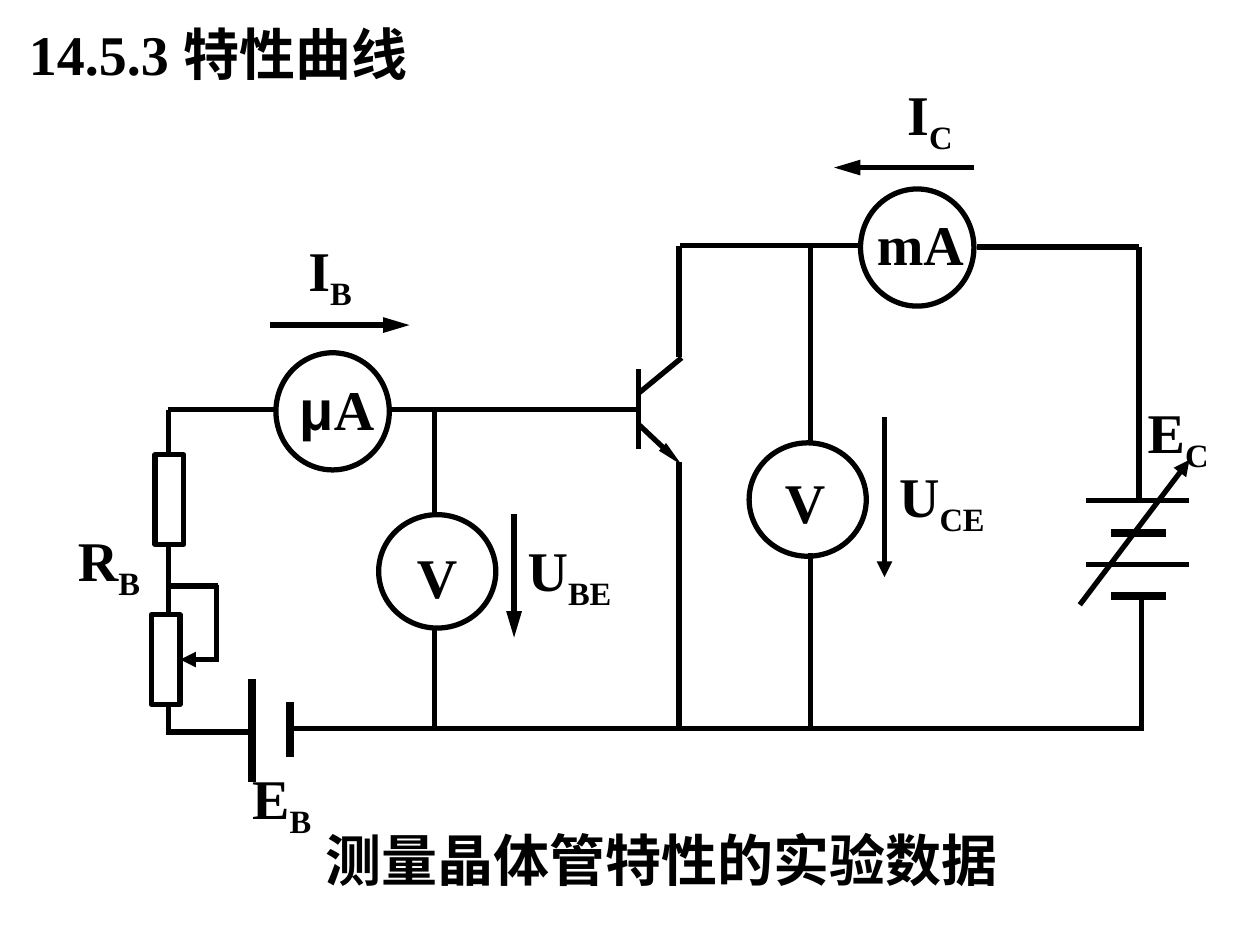
from lxml.etree import SubElement
from pptx import Presentation
from pptx.dml.color import RGBColor
from pptx.enum.shapes import MSO_CONNECTOR, MSO_SHAPE
from pptx.enum.text import MSO_ANCHOR, MSO_AUTO_SIZE, PP_ALIGN
from pptx.oxml.ns import qn
from pptx.util import Inches, Pt

COLORS = {"ink": "000000", "paper": "FFFFFF"}
FONT, SYMBOL_FONT = "Times New Roman", "Arial"
TEXT_SIZE, WIRE, PLATE = 32, 3, 4.5

TITLE = ("14.5.3 特性曲线", (0.13, 0.1, 3.46, 0.64))
CAPTION = ("测量晶体管特性的实验数据", (2.17, 6.5, 6.17, 0.64))

# Start x, start y, end x, end y
WIRES = [
    # Base loop
    (1.34, 5.83, 1.34, 3.25), (1.33, 5.81, 1.99, 5.81),
    (1.34, 4.65, 1.73, 4.65), (1.72, 4.64, 1.72, 5.25),
    (1.33, 3.25, 5.08, 3.25), (3.45, 5.77, 3.45, 3.26),
    # Transistor
    (5.07, 2.93, 5.07, 3.56), (5.07, 3.12, 5.41, 2.84),
    (5.39, 1.95, 5.39, 2.83), (5.39, 3.67, 5.39, 5.79),
    # Collector loop
    (5.4, 1.95, 6.83, 1.95), (7.75, 1.96, 9.04, 1.96),
    (9.04, 1.96, 9.04, 3.98), (9.06, 4.73, 9.06, 5.77),
    (2.33, 5.78, 9.08, 5.78),
    (6.43, 5.77, 6.43, 4.39), (6.43, 3.5, 6.43, 1.96),
    # Long plates of the collector battery
    (9.44, 3.97, 8.62, 3.97), (9.44, 4.48, 8.62, 4.48),
]
THICK_PLATES = [
    (2, 5.39, 2, 6.21), (2.3, 5.57, 2.3, 6.01),
    (9.25, 4.23, 8.82, 4.23), (9.25, 4.73, 8.82, 4.73),
]
# Ends, then head width and length
ARROWS = [
    ((5.07, 3.37, 5.41, 3.69), ("sm", "lg")),
    ((8.57, 4.8, 9.44, 3.65), ("med", "med")),
    ((2.14, 2.58, 3.25, 2.58), ("med", "lg")),
    ((7.73, 1.33, 6.62, 1.33), ("med", "lg")),
    ((4.08, 4.08, 4.08, 5.06), ("med", "lg")),
    ((7.02, 3.31, 7.02, 4.58), ("med", "med")),
]
SLIDER_START = 1.71
RESISTOR, RHEOSTAT = (1.23, 3.61), (1.2, 4.88)
RESISTOR_SIZE, METER_SIZE = (0.23, 0.71), (0.9, 0.93)

# Name, meter corner, rotation, filled, label frame
METERS = [
    ("mA", (6.83, 1.5), 0, False, (6.86, 1.61, 0.89, 0.64)),
    ("V", (5.96, 3.5), 90, False, (6.13, 3.66, 0.52, 0.64)),
    ("V", (3.02, 4.07), 90, True, (3.21, 4.25, 0.52, 0.64)),
    ("μA", (2.19, 2.8), 0, True, (2.23, 2.92, 0.89, 0.64)),
]
# Letter, subscript, left, top, width
QUANTITIES = [
    ("I", "C", 7.1, 0.58, 0.56), ("U", "CE", 6.99, 3.61, 0.97),
    ("U", "BE", 4.04, 4.2, 0.96), ("R", "B", 0.52, 4.12, 0.69),
    ("I", "B", 2.3, 1.82, 0.64), ("E", "B", 1.9, 6.01, 0.67),
    ("E", "C", 9.01, 3.1, 0.68),
]
QUANTITY_HEIGHT = 0.71


def color(name):
    return RGBColor.from_string(COLORS[name])


def draw_line(page, ends, weight=WIRE, head=None):
    """Draw a straight line; head is the (width, length) of its arrowhead."""
    line = page.shapes.add_connector(MSO_CONNECTOR.STRAIGHT, *map(Inches, ends))
    line.line.color.rgb = color("ink")
    line.line.width = Pt(weight)
    if head:
        width, length = head
        SubElement(line.line._get_or_add_ln(), qn("a:tailEnd"),
                   type="triangle", w=width, len=length)
    SubElement(line._element.spPr, qn("a:effectLst"))
    return line


def draw_part(page, kind, corner, size, filled=True):
    part = page.shapes.add_shape(kind, *map(Inches, corner + size))
    part.shadow.inherit = False
    if filled:
        part.fill.solid()
        part.fill.fore_color.rgb = color("paper")
    else:
        part.fill.background()
    part.line.color.rgb = color("ink")
    part.line.width = Pt(WIRE)
    return part


def draw_slider(page, rheostat):
    """Draw the level arrow that meets the rheostat's right side."""
    left, top = RHEOSTAT
    width, height = RESISTOR_SIZE
    middle = top + height / 2
    ends = (SLIDER_START, middle, left + width, middle)
    draw_line(page, ends, head=("med", "med")).end_connect(rheostat, 3)


def style_span(span):
    span.font.size = Pt(TEXT_SIZE)
    span.font.bold = True
    span.font.name = SYMBOL_FONT if span.text == "μ" else FONT
    span.font.color.rgb = color("ink")


def write_label(page, spans, frame, wrap=False):
    """Add a centred label made of the given text runs."""
    box = page.shapes.add_textbox(*map(Inches, frame))
    text = box.text_frame
    text.word_wrap = wrap
    text.auto_size = MSO_AUTO_SIZE.SHAPE_TO_FIT_TEXT
    text.vertical_anchor = MSO_ANCHOR.MIDDLE
    para = text.paragraphs[0]
    para.alignment = PP_ALIGN.CENTER
    for words in spans:
        span = para.add_run()
        span.text = words
        style_span(span)
    return para


def write_title(page):
    words, frame = TITLE
    title = page.shapes.title
    title.left, title.top, title.width, title.height = map(Inches, frame)
    text = title.text_frame
    text.text = words
    text.word_wrap = True
    text.auto_size = MSO_AUTO_SIZE.NONE
    text.vertical_anchor = MSO_ANCHOR.MIDDLE
    text.paragraphs[0].alignment = PP_ALIGN.LEFT
    style_span(text.paragraphs[0].runs[0])


def main():
    deck = Presentation()
    deck.slide_width, deck.slide_height = Inches(10), Inches(7.5)
    page = deck.slides.add_slide(deck.slide_layouts[5])
    page.background.fill.solid()
    page.background.fill.fore_color.rgb = color("paper")
    write_title(page)

    for ends in WIRES:
        draw_line(page, ends)
    for ends in THICK_PLATES:
        draw_line(page, ends, PLATE)
    for ends, head in ARROWS:
        draw_line(page, ends, head=head)

    draw_part(page, MSO_SHAPE.RECTANGLE, RESISTOR, RESISTOR_SIZE)
    rheostat = draw_part(page, MSO_SHAPE.RECTANGLE, RHEOSTAT, RESISTOR_SIZE)
    draw_slider(page, rheostat)

    for name, corner, rotation, filled, frame in METERS:
        meter = draw_part(page, MSO_SHAPE.OVAL, corner, METER_SIZE, filled)
        meter.rotation = rotation
        write_label(page, name if name == "μA" else [name], frame, len(name) > 1)

    for letter, subscript, left, top, width in QUANTITIES:
        para = write_label(page, [letter, subscript],
                           (left, top, width, QUANTITY_HEIGHT))
        para.runs[1]._r.get_or_add_rPr().set("baseline", "-25000")

    words, frame = CAPTION
    write_label(page, [words], frame, wrap=True)
    deck.save("out.pptx")


if __name__ == "__main__":
    main()
